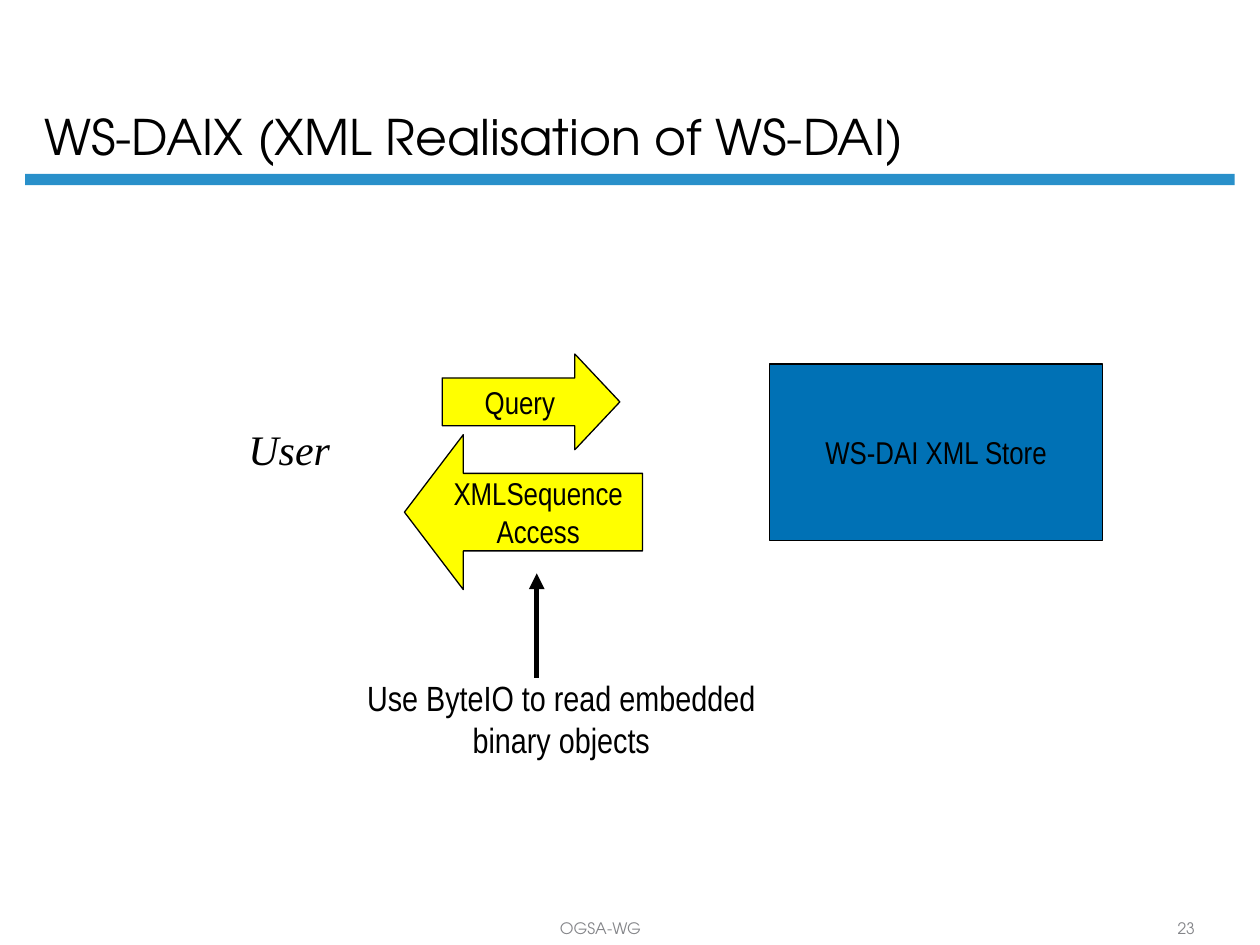
from lxml.etree import SubElement as Sub
from pptx import Presentation
from pptx.dml.color import RGBColor as RGB
from pptx.enum.shapes import MSO_CONNECTOR as Link, MSO_SHAPE as Geo
from pptx.enum.text import MSO_ANCHOR as Anchor, MSO_AUTO_SIZE as Fit, PP_ALIGN as Align
from pptx.oxml.ns import qn
from pptx.util import Inches, Pt

BLACK = RGB(0x00, 0x00, 0x00)
GRAY = RGB(0x84, 0x85, 0x89)
SKY = RGB(0x29, 0x90, 0xCA)
BLUE = RGB(0x00, 0x71, 0xB5)
YELLOW = RGB(0xFF, 0xFF, 0x00)
SANS = "TeX Gyre Adventor"
NARROW = "Arial Narrow"
SERIF = "Times New Roman"


def write(shape, text, size, face, color=BLACK, align=Align.CENTER,
          anchor=Anchor.MIDDLE, wrap=False, space=None, italic=False):
    frame = shape.text_frame
    frame.text = text
    frame.word_wrap = wrap
    frame.auto_size = Fit.NONE
    frame.vertical_anchor = anchor
    for para in frame.paragraphs:
        para.alignment = align
        para.line_spacing = space
        for run in para.runs:
            font = run.font
            font.size = Pt(size)
            font.name = face
            font.italic = italic
            font.color.rgb = color


def add_title(slide, text):
    title = slide.shapes.title
    title.left, title.top = Inches(0.25), Inches(0.12)
    title.width, title.height = Inches(8.56), Inches(1.25)
    write(title, text, 28, SANS, align=Align.LEFT, anchor=Anchor.BOTTOM,
          wrap=True, space=0.9)


def add_block(slide, geo, box, fill, text="", head=None):
    block = slide.shapes.add_shape(geo, *map(Inches, box))
    block.shadow.inherit = False
    block.fill.solid()
    block.fill.fore_color.rgb = fill
    if head:
        block.adjustments[1] = head
    if text:
        block.line.color.rgb = BLACK
        block.line.width = Pt(0.75)
        write(block, text, 18, NARROW)
    else:
        block.line.fill.background()


def add_label(slide, box, text, size, face, **style):
    label = slide.shapes.add_textbox(*map(Inches, box))
    write(label, text, size, face, **style)


def add_arrow(slide, *ends):
    arrow = slide.shapes.add_connector(Link.STRAIGHT, *map(Inches, ends))
    arrow.line.color.rgb = BLACK
    arrow.line.width = Pt(3)
    Sub(arrow.line._get_or_add_ln(), qn("a:tailEnd"), type="triangle")
    Sub(arrow._element.spPr, qn("a:effectLst"))


def main():
    deck = Presentation()
    deck.slide_width, deck.slide_height = Inches(10), Inches(7.5)
    slide = deck.slides.add_slide(deck.slide_layouts[5])

    add_block(slide, Geo.RECTANGLE, (0.2, 1.38, 9.6, 0.09), SKY)
    add_title(slide, "WS-DAIX (XML Realisation of WS-DAI)")

    add_block(slide, Geo.RECTANGLE, (6.11, 2.89, 2.64, 1.4), BLUE, "WS-DAI XML Store")
    add_block(slide, Geo.LEFT_ARROW, (3.21, 3.45, 1.89, 1.23), YELLOW,
              "XMLSequence\nAccess", 0.38)
    add_label(slide, (1.87, 3.36, 0.85, 0.46), "User", 24, SERIF,
              anchor=Anchor.TOP, space=0.9, italic=True)
    add_block(slide, Geo.RIGHT_ARROW, (3.51, 2.81, 1.41, 0.76), YELLOW, "Query", 0.47)
    add_label(slide, (2.7, 5.32, 3.51, 1.1),
              "Use ByteIO to read embedded binary objects", 20, NARROW,
              anchor=Anchor.TOP, wrap=True)
    add_arrow(slide, 4.26, 5.38, 4.26, 4.55)

    for left, width, text in ((2.33, 4.87, "OGSA-WG"), (9, 0.83, "23")):
        add_label(slide, (left, 7.25, width, 0.24), text, 9, SANS,
                  color=GRAY, anchor=Anchor.BOTTOM, wrap=True)

    deck.save("out.pptx")


if __name__ == "__main__":
    main()
